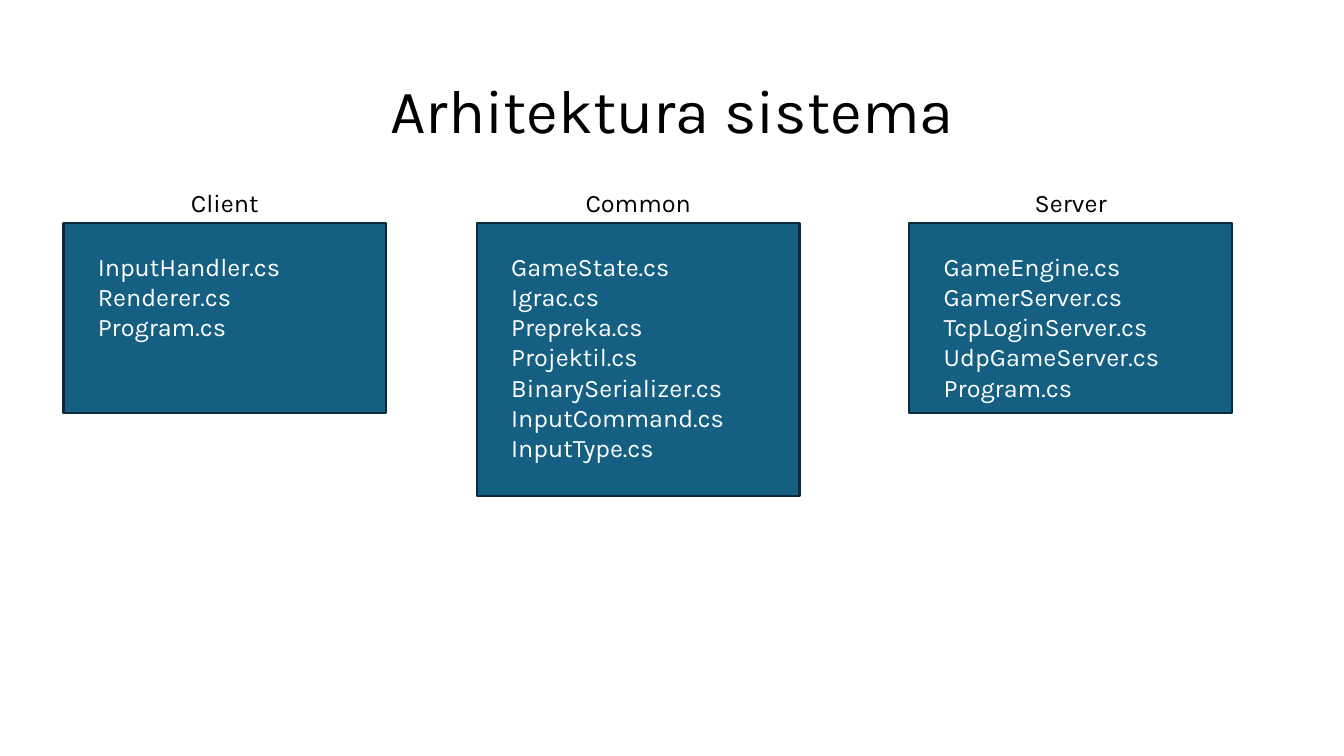
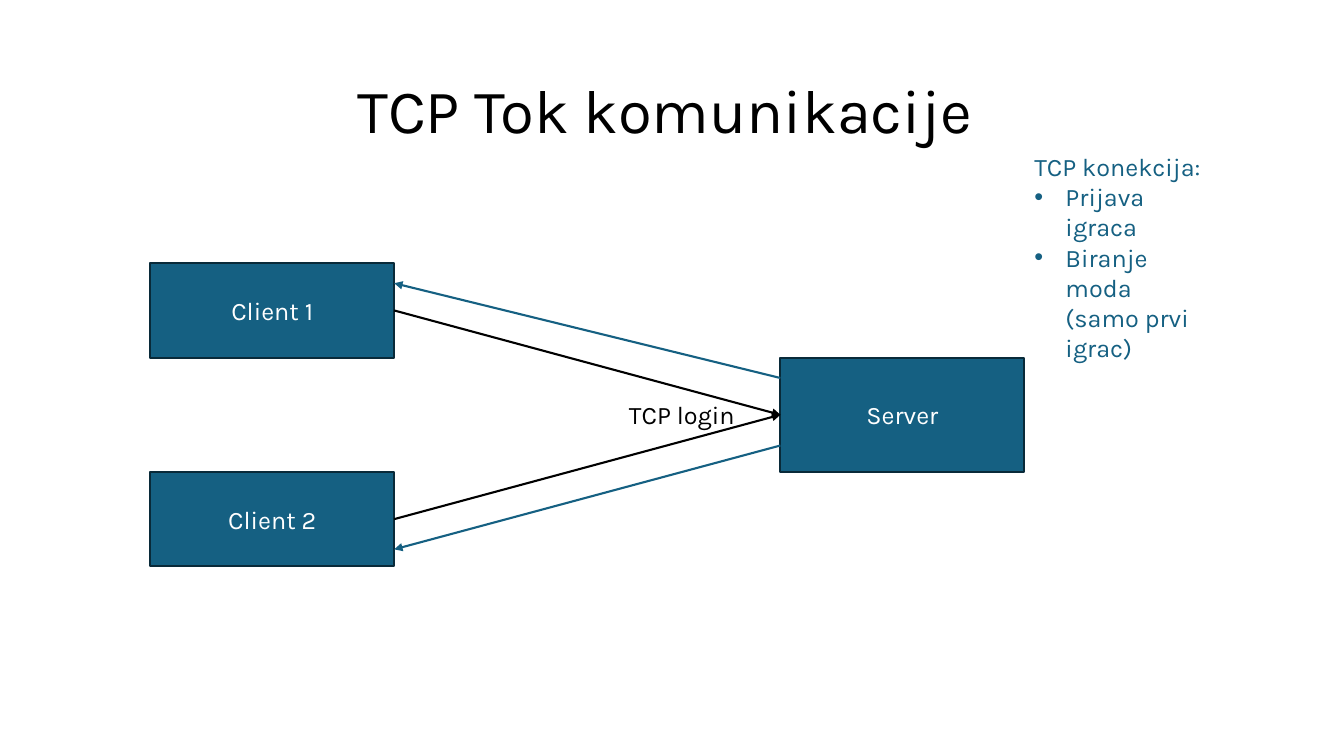
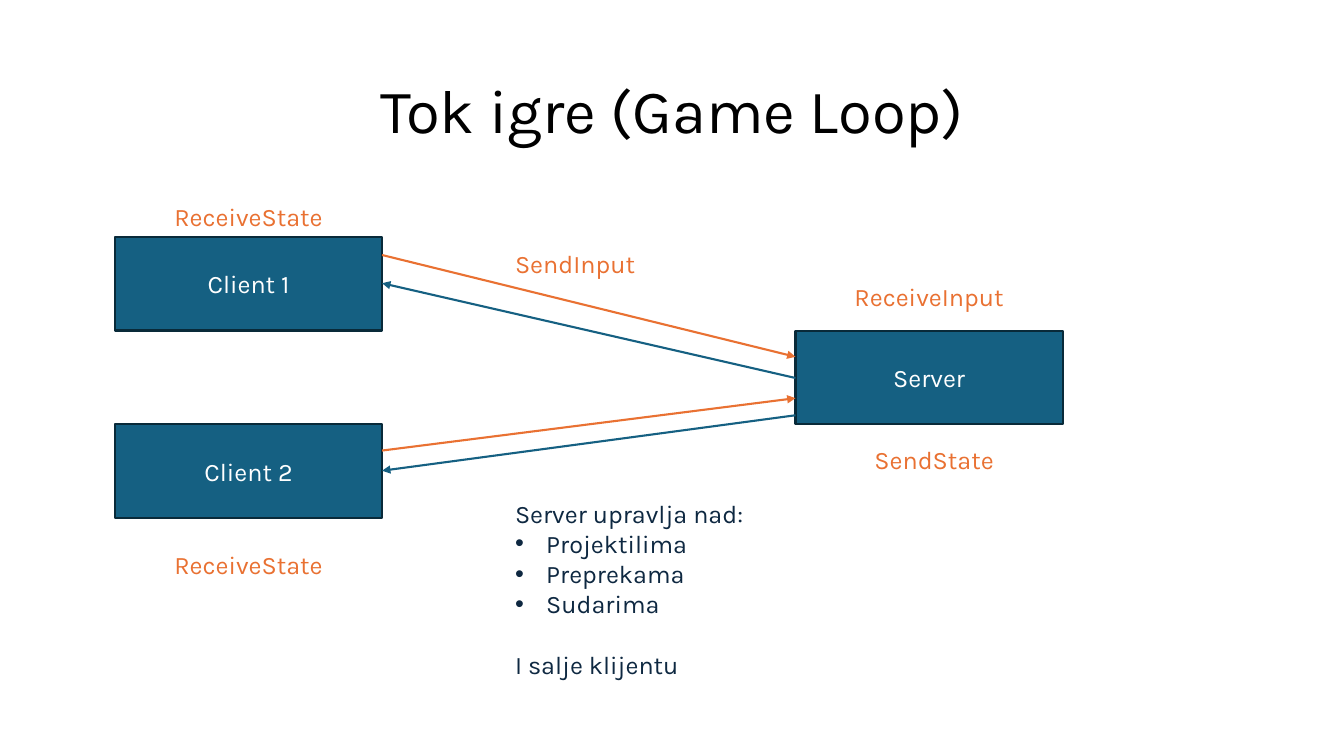
from dataclasses import dataclass

from lxml import etree
from pptx import Presentation
from pptx import util as u
from pptx.dml.color import RGBColor
from pptx.enum import shapes, text
from pptx.oxml.ns import qn

Inches = u.Inches
LEFT, CENTER = text.PP_ALIGN.LEFT, text.PP_ALIGN.CENTER
TOP, MIDDLE = text.MSO_ANCHOR.TOP, text.MSO_ANCHOR.MIDDLE


@dataclass(frozen=True)
class Theme:
    font: str = "Karla"
    title_size: float = 44
    body_size: float = 18
    line_height: float = 21.6
    line_width: float = 1.5
    black: str = "000000"
    white: str = "FFFFFF"
    blue: str = "156082"
    border: str = "092A39"
    orange: str = "E97132"
    navy: str = "0E2841"


THEME = Theme()
LABEL_HEIGHT = 0.4
BULLET_INDENT = 0.31
TITLE_AREA = (0.92, 0.4, 11.5, 1.45)


def rgb(colour):
    return RGBColor.from_string(colour)


def lengths(values):
    return [Inches(value) for value in values]


def write(frame, lines, colour, align=LEFT, size=THEME.body_size):
    frame.word_wrap = True
    frame.text = "\n".join(lines)
    for para in frame.paragraphs:
        para.alignment = align
        for span in para.runs:
            span.font.name = THEME.font
            span.font.size = u.Pt(size)
            span.font.color.rgb = rgb(colour)


def add_bullet(para):
    props = para._p.get_or_add_pPr()
    props.set("marL", str(Inches(BULLET_INDENT)))
    props.set("indent", str(-Inches(BULLET_INDENT)))
    etree.SubElement(props, qn("a:buFont"), typeface="Arial")
    etree.SubElement(props, qn("a:buChar"), char="•")


def add_page(deck, title):
    page = deck.slides.add_slide(deck.slide_layouts.get_by_name("Title Only"))
    box = page.shapes.title
    box.left, box.top, box.width, box.height = lengths(TITLE_AREA)
    frame = box.text_frame
    write(frame, [title], THEME.black, CENTER, THEME.title_size)
    frame.vertical_anchor = MIDDLE
    frame.paragraphs[0].line_spacing = 0.9
    return page


def add_box(page, area, lines, align=CENTER, anchor=MIDDLE):
    box = page.shapes.add_shape(shapes.MSO_SHAPE.RECTANGLE, *lengths(area))
    box.shadow.inherit = False
    box.fill.solid()
    box.fill.fore_color.rgb = rgb(THEME.blue)
    box.line.color.rgb = rgb(THEME.border)
    box.line.width = u.Pt(THEME.line_width)
    write(box.text_frame, lines, THEME.white, align)
    box.text_frame.vertical_anchor = anchor
    return box


def add_file_list(page, area, files):
    frame = add_box(page, area, files, LEFT, TOP).text_frame
    frame.margin_left = Inches(0.34)
    frame.margin_top = Inches(0.28)
    frame.margin_bottom = 0


def add_text(page, area, lines, colour, align=LEFT, bullets=()):
    box = page.shapes.add_textbox(*lengths(area))
    write(box.text_frame, lines, colour, align)
    for para in box.text_frame.paragraphs:
        if para.text in bullets:
            add_bullet(para)
    return box


def add_label(page, left, top, width, label, colour, align=CENTER):
    add_text(page, (left, top, width, LABEL_HEIGHT), [label], colour, align)


def add_arrow(page, start, end, colour):
    arrow = page.shapes.add_connector(
        shapes.MSO_CONNECTOR.STRAIGHT, *lengths(start + end))
    arrow.line.color.rgb = rgb(colour)
    arrow.line.width = u.Pt(THEME.line_width)
    etree.SubElement(arrow.line._get_or_add_ln(), qn("a:tailEnd"), type="triangle")
    etree.SubElement(arrow._element.spPr, qn("a:effectLst"))
    return arrow


def build_architecture(deck):
    page = add_page(deck, "Arhitektura sistema")
    top, width = 2.21, 3.2
    modules = [
        ("Client", 0.63, 1.89, ["InputHandler.cs", "Renderer.cs", "Program.cs"]),
        ("Common", 4.73, 2.71, ["GameState.cs", "Igrac.cs", "Prepreka.cs",
                                "Projektil.cs", "BinarySerializer.cs",
                                "InputCommand.cs", "InputType.cs"]),
        ("Server", 9.02, 1.89, ["GameEngine.cs", "GamerServer.cs",
                                "TcpLoginServer.cs", "UdpGameServer.cs",
                                "Program.cs"]),
    ]
    for name, left, height, files in modules:
        add_file_list(page, (left, top, width, height), files)
        add_label(page, left, top - LABEL_HEIGHT, width, name, THEME.black)


def build_tcp_flow(deck):
    page = add_page(deck, "TCP Tok komunikacije ")
    left, width, server_left = 1.49, 2.42, 7.74
    client_edge = left + width
    server = add_box(page, (server_left, 3.55, width, 1.13), ["Server"])
    clients = [("Client 1", 2.61, 3.75, 2.81), ("Client 2", 4.68, 4.42, 5.45)]
    for name, top, reply_start, reply_end in clients:
        client = add_box(page, (left, top, width, 0.94), [name])
        login = add_arrow(page, (client_edge, top + 0.47),
                          (server_left, 4.12), THEME.black)
        login.begin_connect(client, 3)
        login.end_connect(server, 1)
        add_arrow(page, (server_left, reply_start),
                  (client_edge, reply_end), THEME.blue)
    tasks = ["Prijava igraca", "Biranje moda (samo prvi igrac)"]
    add_text(page, (10.16, 1.45, 1.87, 2.22), ["TCP konekcija:"] + tasks,
             THEME.blue, bullets=tasks)
    add_label(page, 6.14, 3.91, 1.87, "TCP login", THEME.black, LEFT)


def build_game_loop(deck):
    page = add_page(deck, "Tok igre (Game Loop)")
    left, width, height, server_left = 1.14, 2.65, 0.93, 7.89
    client_edge = left + width
    nodes = [("Client 1", left, 2.35), ("Client 2", left, 4.21),
             ("Server", server_left, 3.28)]
    for name, node_left, top in nodes:
        add_box(page, (node_left, top, width, height), [name])

    exchanges = [(2.53, 3.54, 3.75, 2.81), (4.47, 3.95, 4.12, 4.67)]
    for input_start, input_end, state_start, state_end in exchanges:
        add_arrow(page, (client_edge, input_start),
                  (server_left, input_end), THEME.orange)
        add_arrow(page, (server_left, state_start),
                  (client_edge, state_end), THEME.blue)

    label_width = 2.47
    labels = [("SendInput", 5.01, 2.41, LEFT),
              ("ReceiveInput", 7.98, 2.74, CENTER),
              ("SendState", 8.03, 4.36, CENTER),
              ("ReceiveState", 1.23, 1.95, CENTER),
              ("ReceiveState", 1.23, 5.4, CENTER)]
    for label, label_left, top, align in labels:
        add_label(page, label_left, top, label_width, label, THEME.orange, align)

    managed = ["Projektilima", "Preprekama", "Sudarima"]
    summary = add_text(page, (5.01, 4.89, label_width, 1.92),
                       ["Server upravlja nad:", *managed, "I salje klijentu"],
                       THEME.navy, bullets=managed)
    summary.text_frame.paragraphs[-1].space_before = u.Pt(THEME.line_height)


def main():
    deck = Presentation()
    deck.slide_width, deck.slide_height = lengths((13.33, 7.5))
    build_architecture(deck)
    build_tcp_flow(deck)
    build_game_loop(deck)
    deck.save("out.pptx")


if __name__ == "__main__":
    main()
